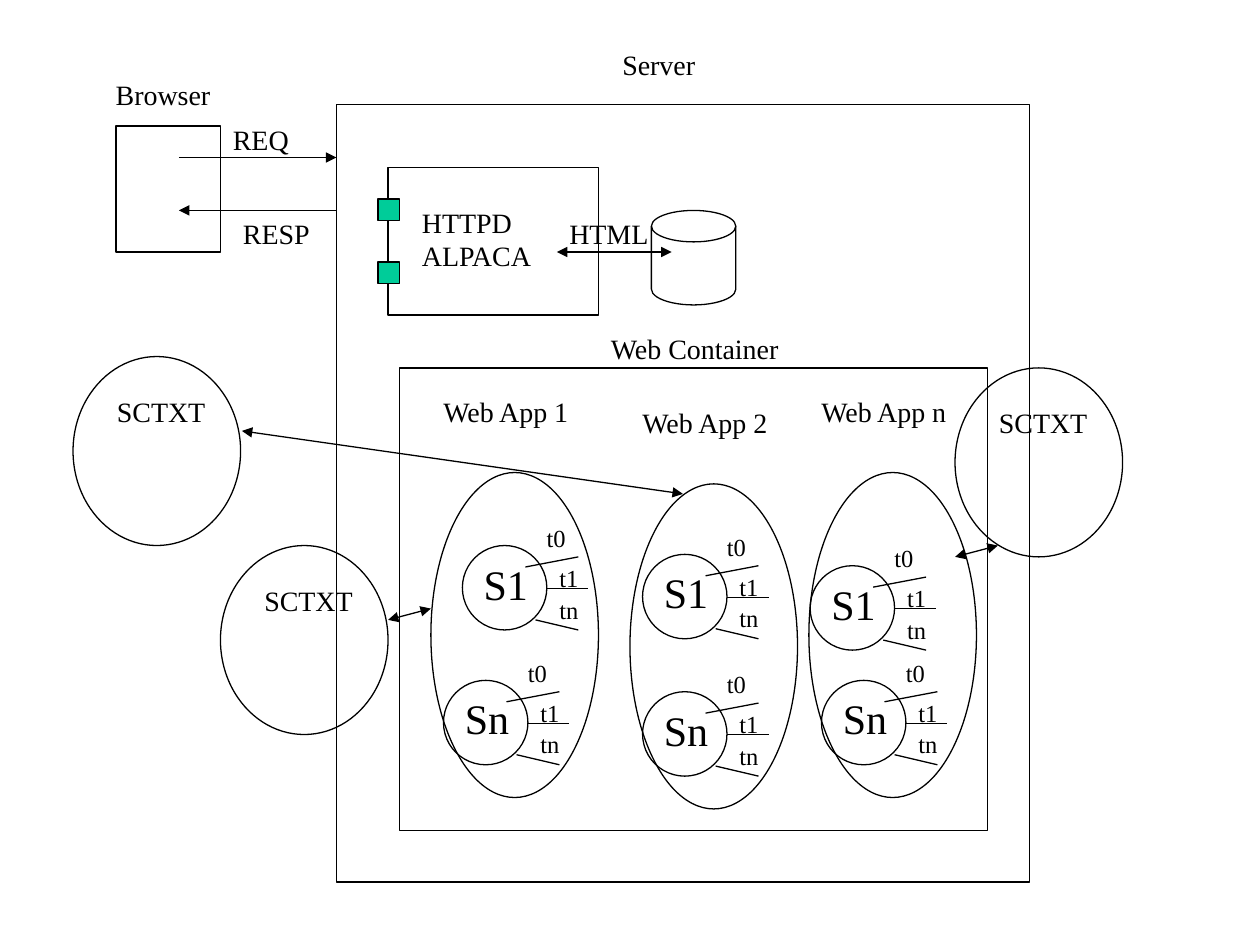
from lxml import etree
from pptx import Presentation
from pptx.dml.color import RGBColor
from pptx.enum.shapes import MSO_CONNECTOR, MSO_SHAPE
from pptx.enum.text import MSO_AUTO_SIZE
from pptx.oxml.ns import qn
from pptx.util import Inches, Pt

RECT, OVAL, DISK = MSO_SHAPE.RECTANGLE, MSO_SHAPE.OVAL, MSO_SHAPE.FLOWCHART_MAGNETIC_DISK
LINE, GROW = MSO_CONNECTOR.STRAIGHT, MSO_AUTO_SIZE.SHAPE_TO_FIT_TEXT
COLORS = {"ink": "000000", "paper": "FFFFFF", "port": "00CC99"}
FONT = {"name": "Times New Roman"}

deck = Presentation()
deck.slide_width, deck.slide_height = Inches(10), Inches(7.5)
slide = deck.slides.add_slide(deck.slide_layouts[6])
shapes = slide.shapes
ink = RGBColor.from_string(COLORS["ink"])


def label(text, x, y, wide, high=0.37, size=16):
    box = shapes.add_textbox(Inches(x), Inches(y), Inches(wide), Inches(high))
    frame = box.text_frame
    frame.word_wrap, frame.auto_size = False, GROW
    frame.text = text
    for para in frame.paragraphs:
        for key, value in {**FONT, "size": Pt(size)}.items():
            setattr(para.font, key, value)
        para.font.color.rgb = ink


def outline(kind, x, y, wide, high, fill=None):
    shape = shapes.add_shape(kind, Inches(x), Inches(y), Inches(wide), Inches(high))
    shape.shadow.inherit = False
    shape.line.color.rgb, shape.line.width = ink, Pt(0.75)
    if fill:
        shape.fill.solid()
        shape.fill.fore_color.rgb = RGBColor.from_string(COLORS[fill])
    else:
        shape.fill.background()


# Browser, server, web server with its ports, and file store
for kind, x, y, wide, high, fill in [
    (RECT, 0.92, 1, 0.83, 1, "paper"),
    (RECT, 2.67, 0.83, 5.5, 6.17, "paper"),
    (RECT, 3.08, 1.33, 1.67, 1.17, "paper"),
    (RECT, 3, 1.58, 0.17, 0.17, "port"),
    (RECT, 3, 2.08, 0.17, 0.17, "port"),
    (DISK, 5.17, 1.67, 0.67, 0.75, None),
    (RECT, 3.17, 2.92, 4.67, 3.67, None),
]:
    outline(kind, x, y, wide, high, fill)

for text, x, y, wide in [
    ("Browser", 0.82, 0.57, 0.95),
    ("REQ", 1.75, 0.92, 0.65),
    ("RESP", 1.83, 1.67, 0.75),
    ("Server", 4.84, 0.33, 0.78),
    ("HTML", 4.42, 1.67, 0.83),
    ("Web Container", 4.75, 2.58, 1.55),
]:
    label(text, x, y, wide)
label("HTTPD\nALPACA", 3.25, 1.58, 1.08, 0.64)

# Web apps
for text, x, y in [("Web App 1", 3.42, 3.08), ("Web App 2", 5, 3.17), ("Web App n", 6.42, 3.08)]:
    label(text, x, y, 1.22)
    outline(OVAL, x, y + 0.67, 1.33, 2.58)

# Servlet contexts
for x, y in [(1.75, 4.33), (7.58, 2.92), (0.58, 2.83)]:
    outline(OVAL, x, y, 1.33, 1.5)
    label("SCTXT", x + 0.25, y + 0.25, 0.9)

# Arrows: from, to, and the ends that carry a head
lines = [
    (1.42, 1.25, 2.67, 1.25, ["tailEnd"]),
    (1.42, 1.67, 2.67, 1.67, ["headEnd"]),
    (4.42, 2, 5.33, 2, ["headEnd", "tailEnd"]),
    (3.42, 4.83, 3.08, 4.92, ["headEnd", "tailEnd"]),
    (7.92, 4.33, 7.58, 4.42, ["headEnd", "tailEnd"]),
    (5.42, 3.92, 1.92, 3.42, ["headEnd", "tailEnd"]),
]

# Servlets, each with three threads
for name, x, y in [
    ("S1", 3.67, 4.33), ("Sn", 3.52, 5.4),
    ("S1", 5.1, 4.4), ("Sn", 5.1, 5.49),
    ("S1", 6.43, 4.49), ("Sn", 6.52, 5.4),
]:
    outline(OVAL, x, y, 0.67, 0.67)
    label(name, x + 0.07, y + 0.05, 0.55, 0.5, 24)
    for text, dx, dy in [("t0", 0.57, -0.23), ("t1", 0.67, 0.09), ("tn", 0.67, 0.34)]:
        label(text, x + dx, y + dy, 0.35, 0.34, 14)
    for x1, y1, x2, y2 in [(0.5, 0.17, 0.92, 0.09), (0.67, 0.34, 1, 0.34), (0.58, 0.59, 0.92, 0.67)]:
        lines.append((x + x1, y + y1, x + x2, y + y2, []))

for x1, y1, x2, y2, ends in lines:
    link = shapes.add_connector(LINE, Inches(x1), Inches(y1), Inches(x2), Inches(y2))
    link.line.color.rgb, link.line.width = ink, Pt(0.75)
    props = link.element.spPr
    for end in ends:
        etree.SubElement(props.find(qn("a:ln")), qn("a:" + end), type="triangle")
    etree.SubElement(props, qn("a:effectLst"))

deck.save("out.pptx")
